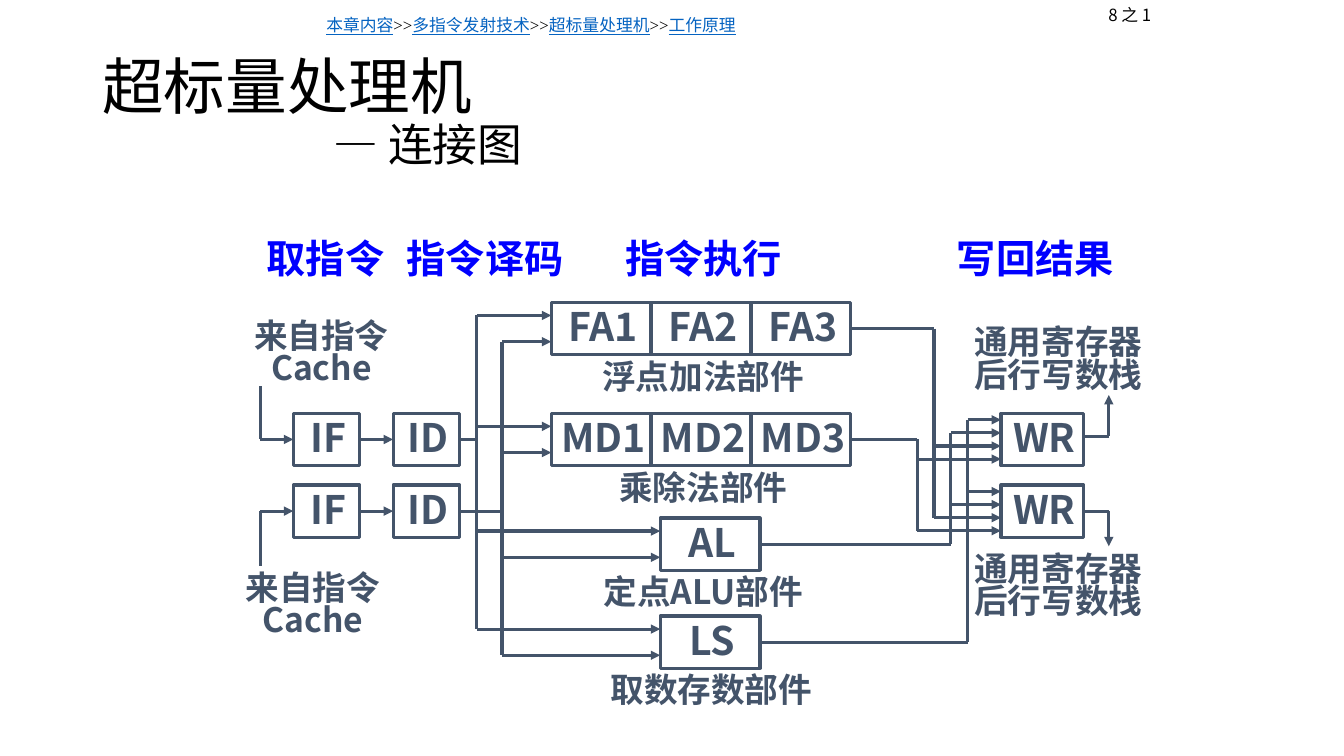
"""Build the superscalar processor connection diagram slide."""
from dataclasses import dataclass

from lxml.etree import SubElement
from pptx import Presentation
from pptx.dml.color import RGBColor
from pptx.enum.shapes import MSO_CONNECTOR, MSO_SHAPE
from pptx.enum.text import MSO_ANCHOR, PP_ALIGN
from pptx.oxml.ns import qn
from pptx.util import Pt

COLOURS = {"ink": "44546A", "stage": "0000FF", "link": "0563C1", "black": "000000"}
CJK = "Noto Sans CJK SC"
BOX_H = 37.4
UNIT_W = 71.3


@dataclass(frozen=True)
class Box:
    text: str
    x: float
    y: float
    w: float = UNIT_W

    @property
    def right(self) -> float:
        return self.x + self.w

    @property
    def mid(self) -> float:
        return self.y + BOX_H / 2


@dataclass(frozen=True)
class Label:
    text: str
    x: float
    y: float
    w: float
    h: float
    size: float = 24
    colour: str = "ink"


@dataclass(frozen=True)
class Wire:
    x1: float
    y1: float
    x2: float
    y2: float
    arrow: bool = False


def add_run(p, text: str, *, size: float, colour: str = "ink", font: str = CJK,
            bold: bool = False, underline: bool = False) -> None:
    r = p.add_run()
    r.text = text
    r.font.size = Pt(size)
    r.font.bold = bold
    r.font.underline = underline
    r.font.name = font
    r.font.color.rgb = RGBColor.from_string(COLOURS[colour])
    SubElement(r.font._element, qn("a:ea")).set("typeface", CJK)


def fill_frame(tf, text: str, size: float, colour: str) -> None:
    tf.word_wrap = False
    tf.vertical_anchor = MSO_ANCHOR.MIDDLE
    tf.margin_left, tf.margin_top, tf.margin_right, tf.margin_bottom = Pt(6), Pt(3), Pt(3), 0
    for i, line in enumerate(text.split("\n")):
        p = tf.add_paragraph() if i else tf.paragraphs[0]
        p.alignment = PP_ALIGN.CENTER
        p.line_spacing = 0.8
        add_run(p, line, size=size, colour=colour, bold=True)


def add_frame(s, x: float, y: float, w: float, h: float):
    tf = s.shapes.add_textbox(Pt(x), Pt(y), Pt(w), Pt(h)).text_frame
    tf.word_wrap = True
    return tf


def draw_box(s, box: Box):
    sp = s.shapes.add_shape(MSO_SHAPE.RECTANGLE, Pt(box.x), Pt(box.y), Pt(box.w), Pt(BOX_H))
    sp.shadow.inherit = False
    sp.fill.background()
    sp.line.color.rgb = RGBColor.from_string(COLOURS["ink"])
    sp.line.width = Pt(2.25)
    fill_frame(sp.text_frame, box.text, 28, "ink")
    return sp


def draw_wire(s, wire: Wire, shapes: dict) -> None:
    cx = s.shapes.add_connector(MSO_CONNECTOR.STRAIGHT, Pt(wire.x1), Pt(wire.y1),
                                Pt(wire.x2), Pt(wire.y2))
    cx.line.color.rgb = RGBColor.from_string(COLOURS["ink"])
    cx.line.width = Pt(2.25)
    sp_pr = cx._element.spPr
    if wire.arrow:
        SubElement(sp_pr.find(qn("a:ln")), qn("a:tailEnd")).set("type", "triangle")
    SubElement(sp_pr, qn("a:effectLst"))
    ends = ((cx.begin_connect, wire.x1, wire.y1), (cx.end_connect, wire.x2, wire.y2))
    for connect, x, y in ends:
        for box, sp in shapes.items():
            for side, side_x in ((1, box.x), (3, box.right)):
                if abs(x - side_x) < 0.1 and abs(y - box.mid) < 0.1:
                    connect(sp, side)


def draw_headings(s) -> None:
    tf = add_frame(s, 66, 28.8, 828, 104.4)
    tf.vertical_anchor = MSO_ANCHOR.MIDDLE
    p = tf.paragraphs[0]
    p.line_spacing = 0.9
    add_run(p, "超标量处理机", size=44, colour="black", font="Calibri")
    p = tf.add_paragraph()
    p.line_spacing = 0.9
    p._p.get_or_add_pPr().set("marL", str(Pt(165)))
    add_run(p, "— 连接图", size=32, colour="black", font="Calibri")

    p = add_frame(s, 226, 7.2, 596, 21.6).paragraphs[0]
    for i, crumb in enumerate(("本章内容", "多指令发射技术", "超标量处理机", "工作原理")):
        if i:
            add_run(p, ">>", size=12, colour="black", font="Times New Roman")
        add_run(p, crumb, size=12, colour="link", font="Times New Roman", underline=True)

    p = add_frame(s, 774, 0, 66, 21.6).paragraphs[0]
    p.alignment = PP_ALIGN.CENTER
    add_run(p, "8 之 1", size=12, colour="black")


ROWS = (295.2, 346.4)
FETCHES = [Box("IF", 209.5, y, 47.5) for y in ROWS]
DECODES = [Box("ID", 280.8, y, 47.5) for y in ROWS]
WRITES = [Box("WR", 715, y, 59) for y in ROWS]
ADDERS = [Box(f"FA{i + 1}", 393.8 + i * UNIT_W, 216) for i in range(3)]
MULTIPLIERS = [Box(f"MD{i + 1}", 393.8 + i * UNIT_W, ROWS[0]) for i in range(3)]
ALU = Box("AL", 471.6, 370)
LOAD_STORE = Box("LS", 471.6, 440)
BOXES = [*FETCHES, *DECODES, *ADDERS, *MULTIPLIERS, ALU, LOAD_STORE, *WRITES]

CACHE = "来自指令\nCache"
REGISTERS = "通用寄存器\n后行写数栈"
LABELS = [
    Label("取指令", 182, 162, 98, 47.5, 28, "stage"),
    Label("指令译码", 280, 162, 130, 47.5, 28, "stage"),
    Label("指令执行", 436, 162, 130, 47.5, 28, "stage"),
    Label("写回结果", 673, 162, 130, 47.5, 28, "stage"),
    Label("浮点加法部件", 393.8, 253.4, 214, 32.4),
    Label("乘除法部件", 393.8, 332.6, 214, 32.4),
    Label("定点ALU部件", 393.8, 407.4, 214, 32.4),
    Label("取数存数部件", 399.6, 477.4, 214, 32.4),
    Label(CACHE, 168, 228, 120, 47.5),
    Label(CACHE, 162, 408, 120, 47.5),
    Label(REGISTERS, 684, 228, 141, 57),
    Label(REGISTERS, 684, 390, 141, 57),
]


def plan_wires() -> list[Wire]:
    wires = []
    feed_x, out_x = 186, 792
    units = (ADDERS[0], MULTIPLIERS[0], ALU, LOAD_STORE)
    lanes = zip(FETCHES, DECODES, (275.8, 404), (340.6, 358.6), (0.25, 0.75))
    for fetch, decode, cache_y, bus_x, port in lanes:
        ports = [unit.y + BOX_H * port for unit in units]
        wires += [
            Wire(feed_x, cache_y, feed_x, fetch.mid),
            Wire(feed_x, fetch.mid, fetch.x, fetch.mid, True),
            Wire(fetch.right, fetch.mid, decode.x, decode.mid, True),
            Wire(decode.right, decode.mid, bus_x, decode.mid),
            Wire(bus_x, ports[0], bus_x, ports[-1]),
        ]
        wires += [Wire(bus_x, y, unit.x, y, True) for unit, y in zip(units, ports)]

    for i, unit in enumerate((LOAD_STORE, ALU, ADDERS[-1], MULTIPLIERS[-1])):
        rail_x = 691.2 - 12 * i
        ports = [write.y + BOX_H * (2 * i + 1) / 8 for write in WRITES]
        levels = [unit.mid, *ports]
        wires.append(Wire(unit.right, unit.mid, rail_x, unit.mid))
        wires.append(Wire(rail_x, min(levels), rail_x, max(levels)))
        wires += [Wire(rail_x, y, WRITES[0].x, y, True) for y in ports]

    for write, y, tip_y in zip(WRITES, (311.8, WRITES[1].mid), (282.2, 390.2)):
        wires.append(Wire(write.right, y, out_x, y))
        wires.append(Wire(out_x, y, out_x, tip_y, True))
    return wires


def main() -> None:
    prs = Presentation()
    prs.slide_width, prs.slide_height = Pt(960), Pt(540)
    s = prs.slides.add_slide(prs.slide_layouts[6])
    draw_headings(s)
    shapes = {box: draw_box(s, box) for box in BOXES}
    for label in LABELS:
        tf = add_frame(s, label.x, label.y, label.w, label.h)
        fill_frame(tf, label.text, label.size, label.colour)
    for wire in plan_wires():
        draw_wire(s, wire, shapes)
    prs.save("out.pptx")


if __name__ == "__main__":
    main()
